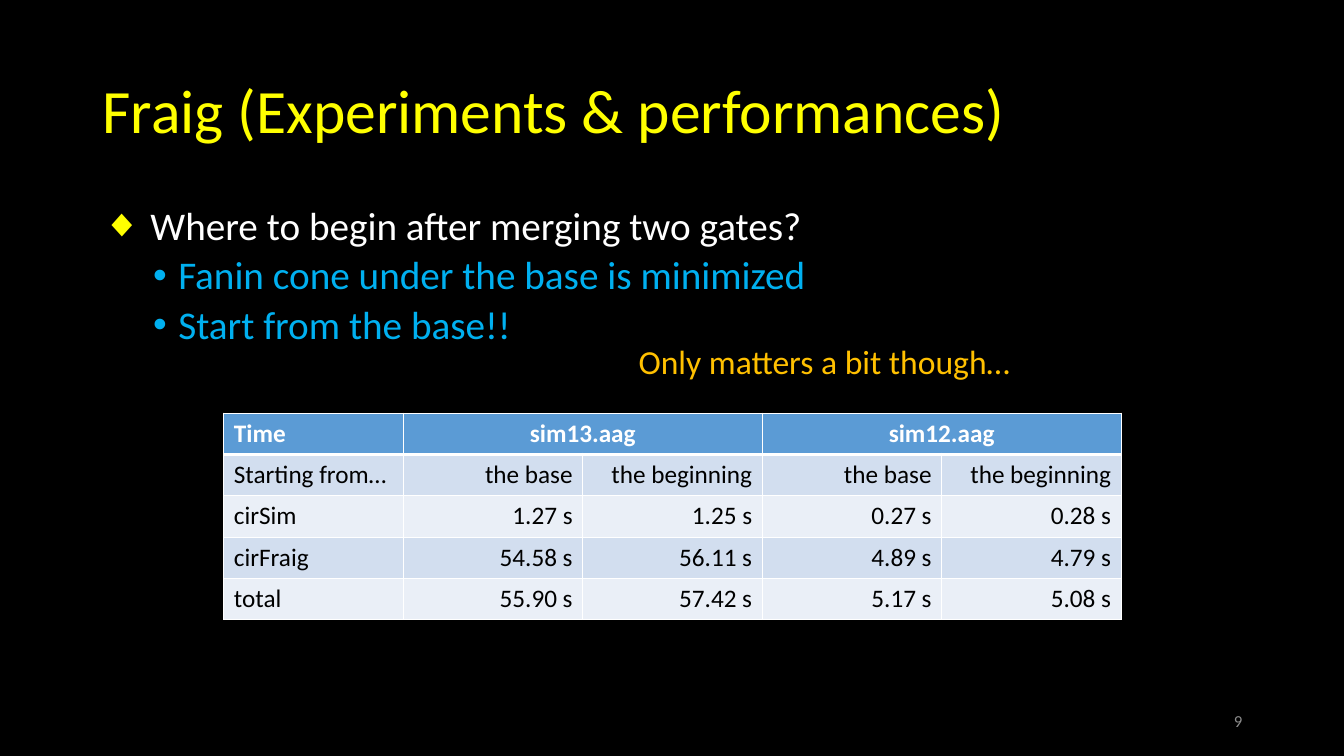
"""Build the slide on Fraig experiments and performances."""
from lxml import etree
from pptx import Presentation
from pptx.dml.color import RGBColor
from pptx.enum.text import MSO_ANCHOR, PP_ALIGN
from pptx.oxml.ns import qn
from pptx.util import Inches, Pt

LEFT, CENTER, RIGHT = PP_ALIGN.LEFT, PP_ALIGN.CENTER, PP_ALIGN.RIGHT
TOP, MIDDLE = MSO_ANCHOR.TOP, MSO_ANCHOR.MIDDLE
FONT = "Calibri"
BLACK, WHITE, YELLOW, SKY = "000000", "FFFFFF", "FFFF00", "00B0F0"
HEADER_FILL, ROW_FILLS = "5B9BD5", ("D2DEEF", "EAEFF7")

TITLE = "Fraig (Experiments & performances)"
POINTS = [
    (0, " Where to begin after merging two gates?"),
    (1, "Fanin cone under the base is minimized"),
    (1, "Start from the base!!"),
]
LEVELS = [
    dict(color=WHITE, before=10, indent=0.25, bullet="◆", bullet_color=YELLOW),
    dict(color=SKY, before=5, indent=0.75, bullet="•", bullet_color=SKY),
]
REMARK = " Only matters a bit though…"
PAGE_NUMBER = "9"
TIMES = [
    ["Time", "sim13.aag", "", "sim12.aag", ""],
    ["Starting from…", "the base", "the beginning", "the base", "the beginning"],
    ["cirSim", "1.27 s", "1.25 s", "0.27 s", "0.28 s"],
    ["cirFraig", "54.58 s", "56.11 s", "4.89 s", "4.79 s"],
    ["total", "55.90 s", "57.42 s", "5.17 s", "5.08 s"],
]


def paint(fill, color):
    """Give a fill one solid colour."""
    fill.solid()
    fill.fore_color.rgb = RGBColor.from_string(color)


def write(para, text, size, color, align=LEFT, bold=False, spacing=1.0, before=0):
    """Write one formatted run into a paragraph."""
    para.alignment, para.line_spacing, para.space_before = align, spacing, Pt(before)
    span = para.add_run()
    span.text = text
    span.font.name, span.font.size, span.font.bold = FONT, Pt(size), bold
    span.font.color.rgb = RGBColor.from_string(color)


def add_box(page, left, top, width, height, anchor=TOP, wrap=True):
    """Add an empty text box and return its text frame."""
    box = page.shapes.add_textbox(Inches(left), Inches(top), Inches(width), Inches(height))
    frame = box.text_frame
    frame.word_wrap, frame.vertical_anchor = wrap, anchor
    return frame


def add_bullet(para, indent, bullet, bullet_color):
    """Give a paragraph a coloured bullet with a hanging indent."""
    props = para._p.get_or_add_pPr()
    props.set("marL", str(Inches(indent)))
    props.set("indent", str(Inches(-0.25)))
    tint = etree.SubElement(props, qn("a:buClr"))
    etree.SubElement(tint, qn("a:srgbClr"), val=bullet_color)
    etree.SubElement(props, qn("a:buFont"), typeface="Arial")
    etree.SubElement(props, qn("a:buChar"), char=bullet)


def add_borders(cell, top, bottom):
    """Draw white cell borders, one point wide at the sides."""
    props = cell._tc.get_or_add_tcPr()
    for side, width in (("L", 1), ("R", 1), ("T", top), ("B", bottom)):
        line = etree.SubElement(props, qn(f"a:ln{side}"), w=str(Pt(width)))
        solid = etree.SubElement(line, qn("a:solidFill"))
        etree.SubElement(solid, qn("a:srgbClr"), val=WHITE)


def add_times(page, left, top, column_width, row_height):
    """Add the table of run times."""
    rows, columns = len(TIMES), len(TIMES[0])
    table = page.shapes.add_table(
        rows, columns, Inches(left), Inches(top),
        Inches(column_width * columns), Inches(row_height * rows)).table
    for column in table.columns:
        column.width = Inches(column_width)
    for r, values in enumerate(TIMES):
        table.rows[r].height = Inches(row_height)
        header = r == 0
        for c, value in enumerate(values):
            cell = table.cell(r, c)
            add_borders(cell, top=3 if r == 1 else 1, bottom=3 if header else 1)
            paint(cell.fill, HEADER_FILL if header else ROW_FILLS[(r - 1) % 2])
            if value:
                align = LEFT if c == 0 else CENTER if header else RIGHT
                write(cell.text_frame.paragraphs[0], value, 18,
                      WHITE if header else BLACK, align=align, bold=header)
    for c in range(1, columns, 2):
        table.cell(0, c).merge(table.cell(0, c + 1))


deck = Presentation()
deck.slide_width, deck.slide_height = Inches(13.33), Inches(7.5)
page = deck.slides.add_slide(deck.slide_layouts[6])
paint(page.background.fill, BLACK)

title = add_box(page, 0.92, 0.4, 11.5, 1.45, anchor=MIDDLE)
write(title.paragraphs[0], TITLE, 44, YELLOW, spacing=0.9)

body = add_box(page, 0.92, 2, 11.5, 4.76)
for number, (level, text) in enumerate(POINTS):
    para = body.add_paragraph() if number else body.paragraphs[0]
    look = LEVELS[level]
    para.level = level
    write(para, text, 28, look["color"], spacing=0.9, before=look["before"])
    add_bullet(para, look["indent"], look["bullet"], look["bullet_color"])

footer = add_box(page, 9.42, 6.95, 3, 0.4, anchor=MIDDLE)
write(footer.paragraphs[0], PAGE_NUMBER, 12, "8C8C8C", align=RIGHT)

add_times(page, 2.22, 4.1, 1.78, 0.41)

remark = add_box(page, 6.16, 3.33, 4, 0.5, wrap=False)
write(remark.paragraphs[0], REMARK, 24, "FFC000")

deck.save("out.pptx")
